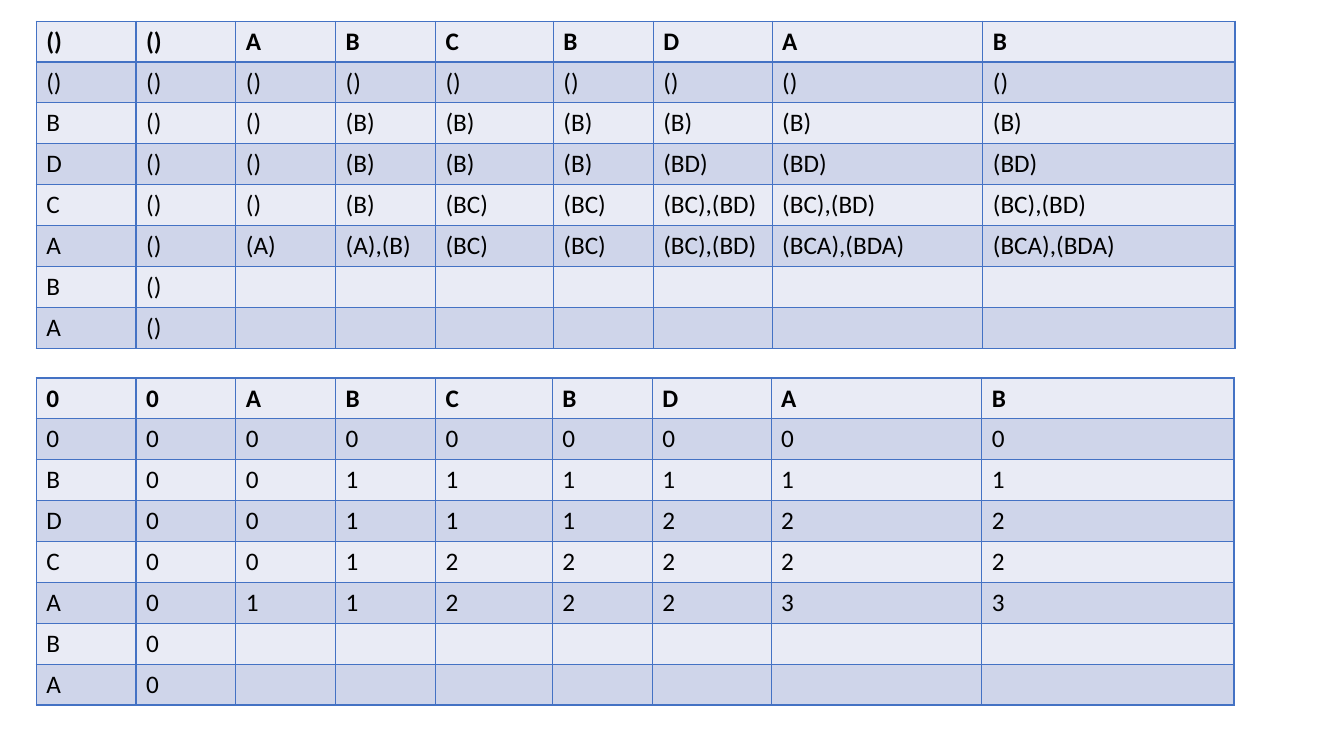
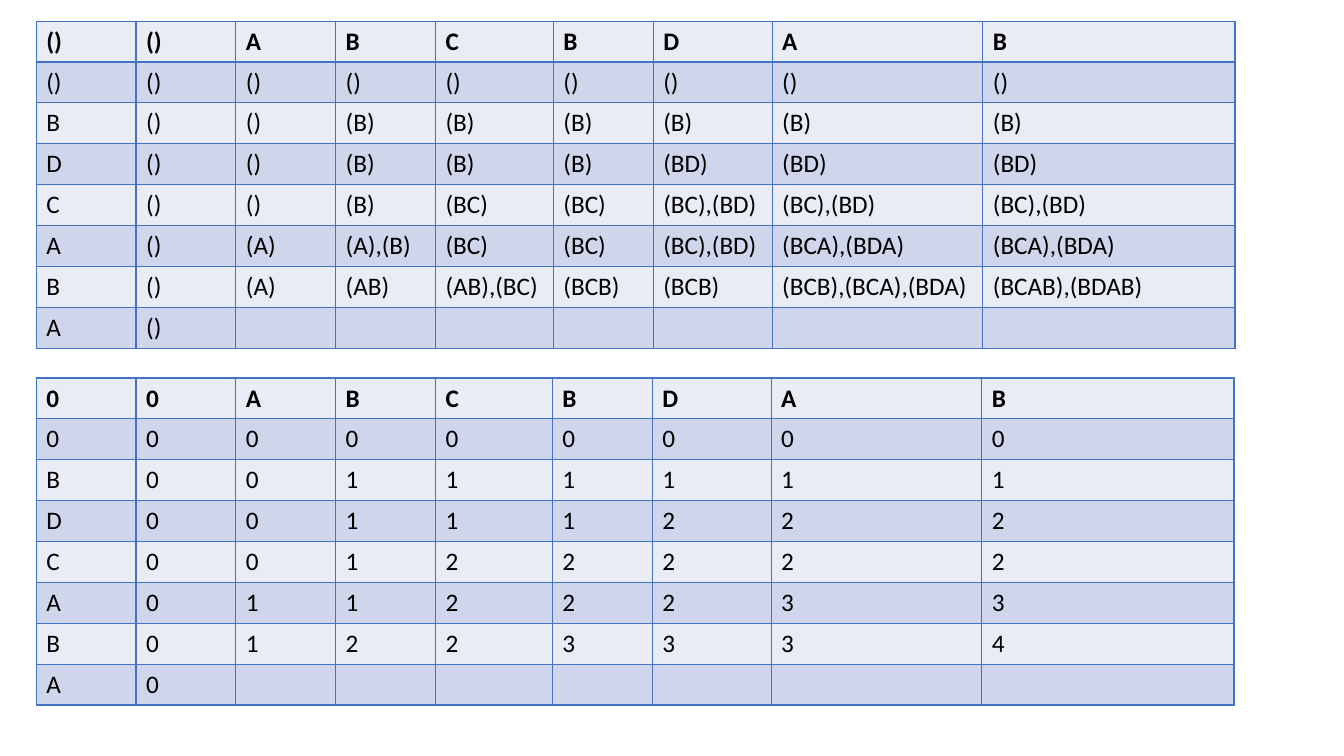
from dataclasses import dataclass

from lxml.etree import SubElement
from pptx import Presentation
from pptx.dml.color import RGBColor
from pptx.oxml.ns import qn
from pptx.slide import Slide
from pptx.table import _Cell
from pptx.util import Inches, Pt

COLORS = {
    "text": "000000",
    "border": "4472C4",
    "light_band": "E9EBF5",
    "dark_band": "CFD5EA",
}
FONT = "Calibri"
FONT_SIZE = Pt(18)
BORDER_WIDTH = Pt(1)
TABLE_LEFT = Inches(0.36)
TABLE_HEIGHT = Inches(3.24)
COLUMN_SEQUENCE = "A B C B D A B"
ROW_SEQUENCE = "B D C A B A"
KNOWN_COLUMNS = 2


@dataclass(frozen=True)
class SubsequenceTable:
    top: float
    column_widths: tuple[float, ...]
    empty: str
    results: tuple[str, ...]

    def rows(self, solved: int) -> list[list[str]]:
        header = [self.empty, self.empty, *COLUMN_SEQUENCE.split()]
        rows = [header, [self.empty] * len(header)]
        for index, letter in enumerate(ROW_SEQUENCE.split()):
            values = self.results[index].split() if index < solved else []
            row = [letter, self.empty, *values]
            rows.append(row + [""] * (len(header) - len(row)))
        return rows


TABLES = (
    SubsequenceTable(
        top=0.21,
        column_widths=(0.99, 0.99, 0.99, 0.99, 1.17, 0.99, 1.18, 2.09, 2.5),
        empty="()",
        results=(
            "() (B) (B) (B) (B) (B) (B)",
            "() (B) (B) (B) (BD) (BD) (BD)",
            "() (B) (BC) (BC) (BC),(BD) (BC),(BD) (BC),(BD)",
            "(A) (A),(B) (BC) (BC) (BC),(BD) (BCA),(BDA) (BCA),(BDA)",
            "(A) (AB) (AB),(BC) (BCB) (BCB) (BCB),(BCA),(BDA) (BCAB),(BDAB)",
        ),
    ),
    SubsequenceTable(
        top=3.75,
        column_widths=(0.99, 0.99, 0.99, 0.99, 1.16, 0.99, 1.18, 2.09, 2.5),
        empty="0",
        results=(
            "0 1 1 1 1 1 1",
            "0 1 1 1 2 2 2",
            "0 1 2 2 2 2 2",
            "1 1 2 2 2 3 3",
            "1 2 2 3 3 3 4",
        ),
    ),
)
SOLVED_ROWS_BY_SLIDE = (4, 5)


def add_borders(cell: _Cell) -> None:
    properties = cell._tc.get_or_add_tcPr()
    for side in ("a:lnL", "a:lnR", "a:lnT", "a:lnB"):
        line = SubElement(properties, qn(side), w=str(int(BORDER_WIDTH)))
        fill = SubElement(line, qn("a:solidFill"))
        SubElement(fill, qn("a:srgbClr"), val=COLORS["border"])


def format_cell(cell: _Cell, text: str, band: str, bold: bool) -> None:
    add_borders(cell)
    cell.fill.solid()
    cell.fill.fore_color.rgb = RGBColor.from_string(COLORS[band])
    paragraph = cell.text_frame.paragraphs[0]
    paragraph.font.size = FONT_SIZE
    if text:
        run = paragraph.add_run()
        run.text = text
        run.font.name = FONT
        run.font.size = FONT_SIZE
        run.font.bold = bold
        run.font.color.rgb = RGBColor.from_string(COLORS["text"])


def add_subsequence_table(slide: Slide, layout: SubsequenceTable, solved: int) -> None:
    rows = layout.rows(solved)
    widths = [Inches(width) for width in layout.column_widths]
    table = slide.shapes.add_table(
        len(rows), len(widths), TABLE_LEFT, Inches(layout.top), sum(widths), TABLE_HEIGHT
    ).table
    table.first_row = False
    table.horz_banding = False
    for column, width in zip(table.columns, widths):
        column.width = width
    for row_index, row in enumerate(rows):
        band = "dark_band" if row_index % 2 else "light_band"
        for column_index, text in enumerate(row):
            format_cell(table.cell(row_index, column_index), text, band, row_index == 0)


def main() -> None:
    presentation = Presentation()
    presentation.slide_width = Inches(13.33)
    presentation.slide_height = Inches(7.5)
    for solved in SOLVED_ROWS_BY_SLIDE:
        slide = presentation.slides.add_slide(presentation.slide_layouts[6])
        for layout in TABLES:
            add_subsequence_table(slide, layout, solved)
    presentation.save("out.pptx")


if __name__ == "__main__":
    main()
